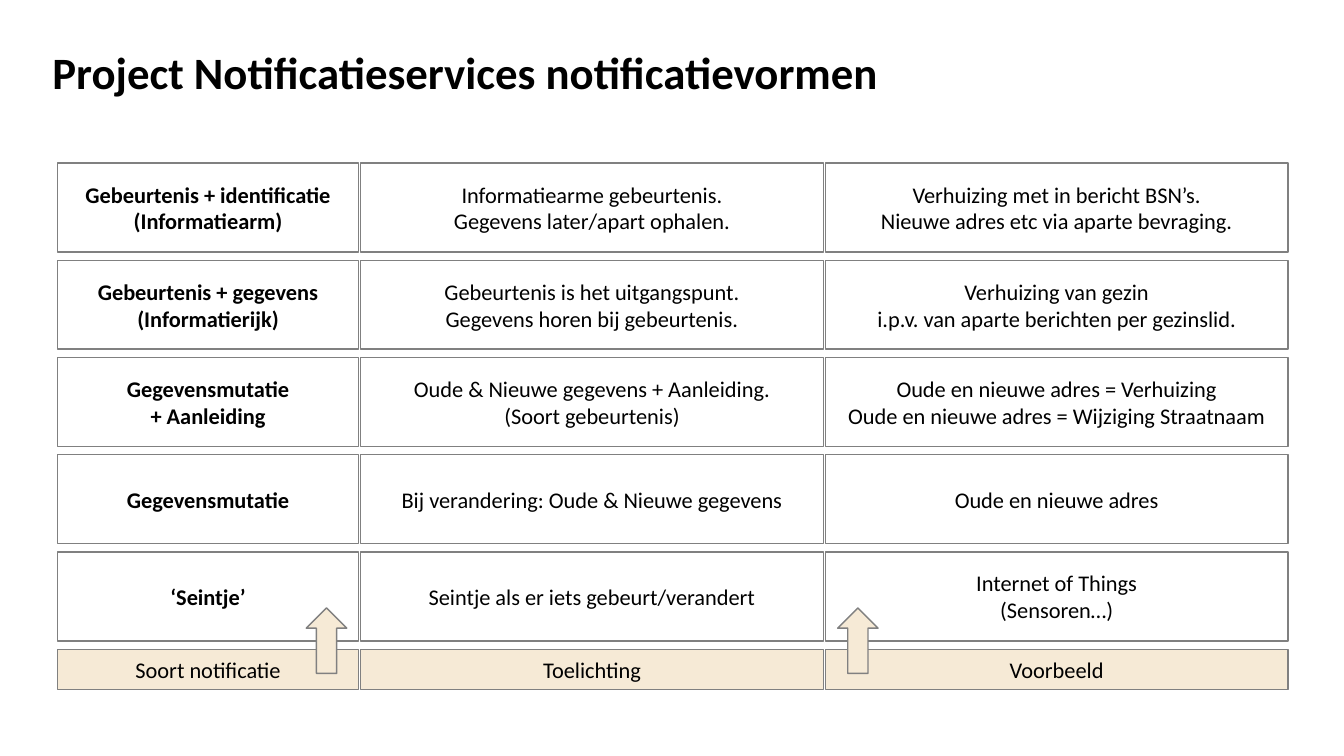
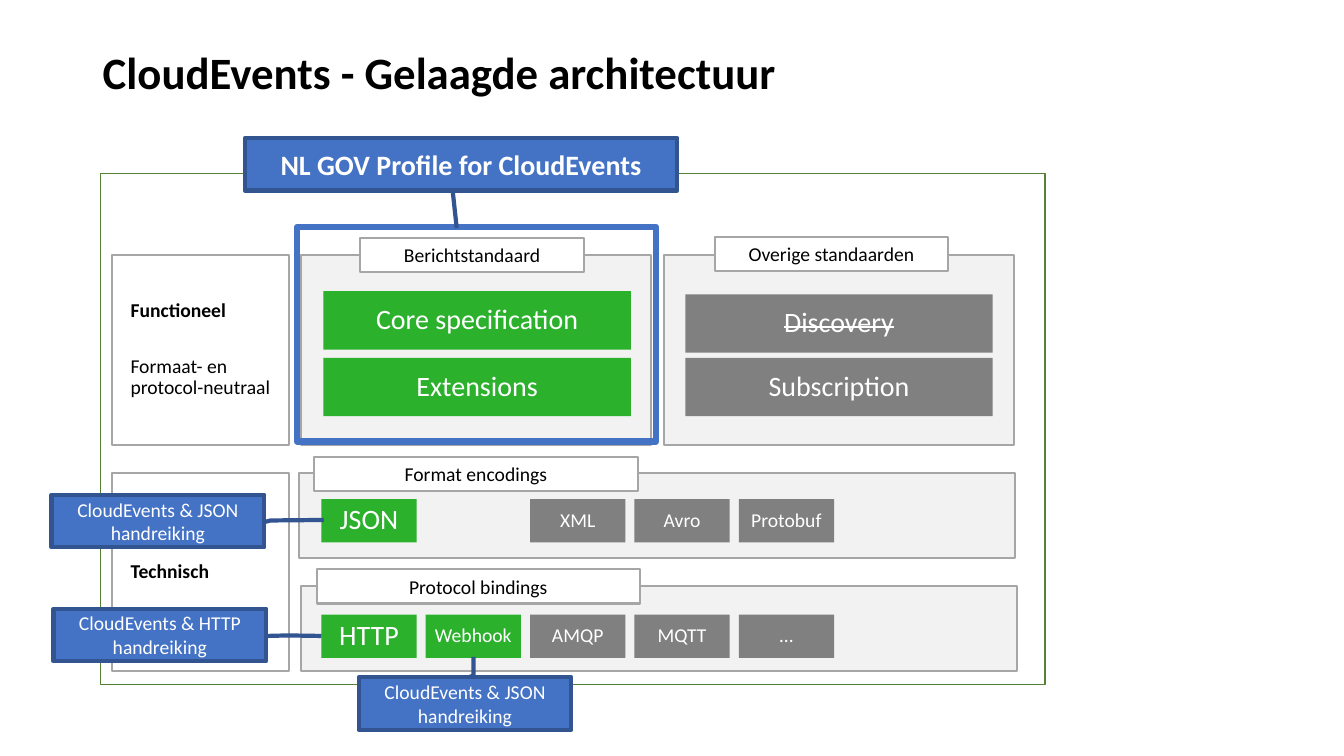
from dataclasses import dataclass

from pptx import Presentation
from pptx.dml.color import RGBColor
from pptx.enum.shapes import MSO_SHAPE
from pptx.enum.text import MSO_ANCHOR, PP_ALIGN
from pptx.util import Cm, Pt

RECTANGLE = MSO_SHAPE.RECTANGLE
UP_ARROW = MSO_SHAPE.UP_ARROW
CALLOUT = MSO_SHAPE.LINE_CALLOUT_2
MIDDLE = MSO_ANCHOR.MIDDLE
LEFT, CENTER = PP_ALIGN.LEFT, PP_ALIGN.CENTER


@dataclass(frozen=True)
class Theme:
    font: str = "Calibri"
    title_size: int = 32
    large_size: int = 20
    cell_size: int = 16
    small_size: int = 14
    black: str = "000000"
    white: str = "FFFFFF"
    sand: str = "F6EAD6"
    gray: str = "808080"
    panel: str = "F2F2F2"
    panel_line: str = "A6A6A6"
    green: str = "2CB12D"
    frame_line: str = "548235"
    blue: str = "4472C4"
    blue_line: str = "325491"


theme = Theme()


def write(box, text, size, color=theme.black, bold_lines=0, align=CENTER,
          line_spacing=1.0, gap=0, side_inset=0.25):
    """Write one paragraph per line; the first bold_lines lines are bold."""
    frame = box.text_frame
    frame.word_wrap = True
    frame.vertical_anchor = MIDDLE
    frame.margin_left = frame.margin_right = Cm(side_inset)
    for index, line in enumerate(text.split("\n")):
        para = frame.add_paragraph() if index else frame.paragraphs[0]
        para.alignment = align
        para.line_spacing = line_spacing
        if index and gap:
            para.space_before = Pt(gap)
        span = para.add_run()
        span.text = line
        span.font.name = theme.font
        span.font.size = Pt(size)
        span.font.bold = index < bold_lines
        span.font.color.rgb = RGBColor.from_string(color)


def add_box(page, left, top, width, height, fill=None, line=None, weight=1.0,
            kind=RECTANGLE):
    """Draw a flat shape, measured in centimetres."""
    box = page.shapes.add_shape(kind, Cm(left), Cm(top), Cm(width), Cm(height))
    box.shadow.inherit = False
    if fill:
        box.fill.solid()
        box.fill.fore_color.rgb = RGBColor.from_string(fill)
    else:
        box.fill.background()
    if line:
        box.line.color.rgb = RGBColor.from_string(line)
        box.line.width = Pt(weight)
    else:
        box.line.fill.background()
    return box


deck = Presentation()
deck.slide_width, deck.slide_height = Cm(33.87), Cm(19.05)

# Pages and their titles
pages = []
for title, left in [
    ("Project Notificatieservices notificatievormen", 1.07),
    ("CloudEvents - Gelaagde architectuur", 2.34),
]:
    page = deck.slides.add_slide(deck.slide_layouts[6])
    box = page.shapes.add_textbox(Cm(left), Cm(1.02), Cm(29.2), Cm(1.75))
    write(box, title, theme.title_size, bold_lines=1, align=LEFT, line_spacing=0.9)
    pages.append(page)
forms_page, layers_page = pages

# Slide 1: grid of notification forms, with the column names at the bottom
rows = [
    ("Gebeurtenis + identificatie\n(Informatiearm)",
     "Informatiearme gebeurtenis.\nGegevens later/apart ophalen.",
     "Verhuizing met in bericht BSN’s.\nNieuwe adres etc via aparte bevraging."),
    ("Gebeurtenis + gegevens\n(Informatierijk)",
     "Gebeurtenis is het uitgangspunt.\nGegevens horen bij gebeurtenis.",
     "Verhuizing van gezin\ni.p.v. van aparte berichten per gezinslid."),
    ("Gegevensmutatie\n+ Aanleiding",
     "Oude & Nieuwe gegevens + Aanleiding.\n(Soort gebeurtenis)",
     "Oude en nieuwe adres = Verhuizing\nOude en nieuwe adres = Wijziging Straatnaam"),
    ("Gegevensmutatie",
     "Bij verandering: Oude & Nieuwe gegevens",
     "Oude en nieuwe adres"),
    ("‘Seintje’",
     "Seintje als er iets gebeurt/verandert",
     "Internet of Things\n(Sensoren…)"),
    ("Soort notificatie", "Toelichting", "Voorbeeld"),
]
column_widths = [7.59, 11.66, 11.66]
column_gap = 0.05
grid_left, grid_top, row_pitch = 1.45, 4.11, 2.45
for row, texts in enumerate(rows):
    is_footer = row == len(rows) - 1
    left = grid_left
    for column, (text, width) in enumerate(zip(texts, column_widths)):
        box = add_box(forms_page, left, grid_top + row * row_pitch, width,
                      1.02 if is_footer else 2.24,
                      theme.sand if is_footer else theme.white, theme.gray)
        write(box, text, theme.cell_size,
              bold_lines=2 if column == 0 and not is_footer else 0)
        left += width + column_gap

for left in (7.72, 21.11):
    add_box(forms_page, left, 15.32, 1.02, 1.65, theme.sand, theme.gray, kind=UP_ARROW)

# Slide 2: outer frame
add_box(layers_page, 2.54, 4.37, 23.8, 12.88, line=theme.frame_line)

# Layer names on the left
for text, top, height in [
    ("Functioneel\nFormaat- en protocol-neutraal", 6.43, 4.78),
    ("Technisch", 11.91, 5.0),
]:
    box = add_box(layers_page, 2.83, top, 4.46, height,
                  theme.white, theme.panel_line, 1.5)
    write(box, text, theme.small_size, bold_lines=1, align=LEFT,
          line_spacing=0.9, gap=24.5, side_inset=0.46)

# Panels, each with a label on its top edge
for label, panel_area, label_area in [
    ("Berichtstandaard", (7.59, 6.43, 8.81, 4.78), (9.07, 5.99, 5.66, 0.86)),
    ("Overige standaarden", (16.74, 6.43, 8.81, 4.78), (18.01, 5.97, 5.89, 0.86)),
    ("Format encodings", (7.54, 11.91, 18.03, 2.16), (7.92, 11.51, 8.15, 0.86)),
    ("Protocol bindings", (7.59, 14.76, 18.03, 2.16), (7.98, 14.35, 8.15, 0.86)),
]:
    add_box(layers_page, *panel_area, theme.panel, theme.panel_line, 1.5)
    box = add_box(layers_page, *label_area, theme.white, theme.panel_line, 1.5)
    write(box, label, theme.small_size)

# Functional standards
for text, left, top, fill in [
    ("Core specification", 8.15, 7.34, theme.green),
    ("Extensions", 8.15, 9.02, theme.green),
    ("Discovery", 17.27, 7.42, theme.gray),
    ("Subscription", 17.27, 9.02, theme.gray),
]:
    box = add_box(layers_page, left, top, 7.75, 1.47, fill)
    write(box, text, theme.large_size, theme.white, line_spacing=0.9)
    if text == "Discovery":
        span = box.text_frame.paragraphs[0].runs[0]
        span._r.get_or_add_rPr().set("strike", "sngStrike")

# Technical standards, on five equal columns
chip_left, chip_pitch = 8.1, 2.63
for top, chips in [
    (12.58, ["JSON", None, "XML", "Avro", "Protobuf"]),
    (15.49, ["HTTP", "Webhook", "AMQP", "MQTT", "…"]),
]:
    for column, text in enumerate(chips):
        if text:
            box = add_box(layers_page, chip_left + column * chip_pitch, top, 2.4, 1.09,
                          theme.green if column < 2 else theme.gray)
            write(box, text, theme.small_size if column else theme.large_size,
                  theme.white, line_spacing=0.9, side_inset=0.2)

# Highlight around the message standard
add_box(layers_page, 7.49, 5.72, 9.04, 5.41, line=theme.blue, weight=4.5)

# Callouts; pointer values are y, x pairs as shares of the box
for text, left, top, width, size, bold_lines, pointer in [
    ("NL GOV Profile for CloudEvents", 6.17, 3.48, 10.9, theme.large_size, 1,
     (0.96, 0.48, 0.96, 0.48, 1.72, 0.49)),
    ("CloudEvents & JSON handreiking", 1.3, 12.47, 5.36, theme.small_size, 0,
     (0.52, 1, 0.49, 1.03, 0.48, 1.28)),
    ("CloudEvents & HTTP handreiking", 1.35, 15.34, 5.36, theme.small_size, 0,
     (0.52, 1, 0.51, 1.1, 0.52, 1.26)),
    ("CloudEvents & JSON handreiking", 9.04, 17.07, 5.36, theme.small_size, 0,
     (-0.01, 0.52, -0.03, 0.54, -0.39, 0.54)),
]:
    box = add_box(layers_page, left, top, width, 1.32,
                  theme.blue, theme.blue_line, 3, CALLOUT)
    for index, share in enumerate(pointer):
        box.adjustments[index] = share
    write(box, text, size, theme.white, bold_lines)

deck.save("out.pptx")
